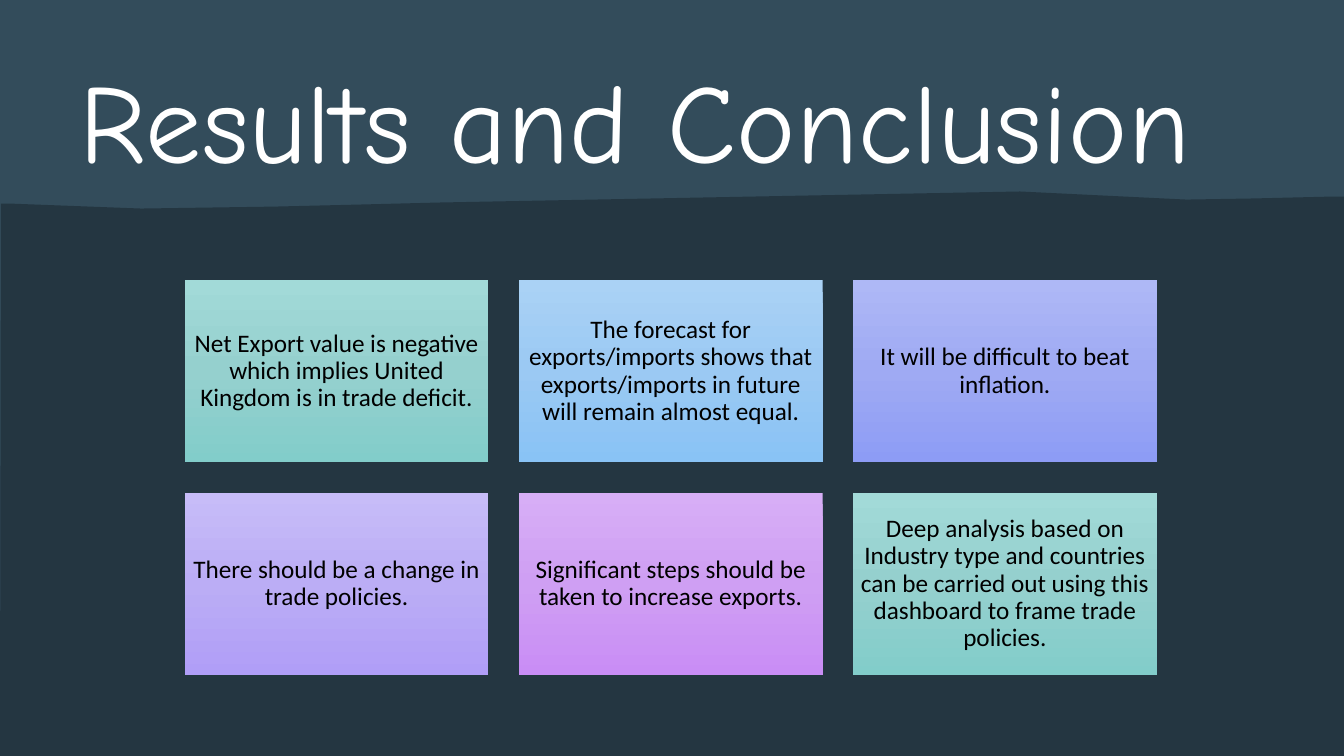
from copy import deepcopy

from pptx import Presentation
from pptx.dml.color import RGBColor
from pptx.enum import shapes, text
from pptx.oxml import ns
from pptx.util import Pt

TITLE = "Results and Conclusion"
TEAL = ("A2DAD8", "95D0CE", "82CDCA")
BLUE = ("AAD2F5", "9BC9F3", "89C3F5")
INDIGO = ("AEB8F6", "9FAAF3", "8D9CF5")
VIOLET = ("C7BCF8", "BBADF5", "B09EF7")
ORCHID = ("D7AEF6", "CF9FF3", "C98DF5")
CARDS = [
    ("Net Export value is negative which implies United Kingdom is in trade deficit.", TEAL),
    ("The forecast for exports/imports shows that exports/imports in future will remain almost equal.", BLUE),
    ("It will be difficult to beat inflation.", INDIGO),
    ("There should be a change in trade policies.", VIOLET),
    ("Significant steps should be taken to increase exports.", ORCHID),
    ("Deep analysis based on Industry type and countries can be carried out using this dashboard to frame trade policies.", TEAL),
]
NAVY = RGBColor(0x24, 0x36, 0x41)
SLATE = RGBColor(0x33, 0x4C, 0x5B)
WHITE = RGBColor(0xFF, 0xFF, 0xFF)
BLACK = RGBColor(0, 0, 0)

WIDTH, HEIGHT = 960, 540
TORN_EDGE = [
    (728.6, 136.8), (847.4, 142.6), (895, 141.8), (952.6, 140.4), (WIDTH, 140.4),
    (WIDTH, HEIGHT), (0, HEIGHT), (0.7, 145.4), (5.8, 145.4), (100.8, 149),
    (195.8, 147.6), (254.9, 146.2), (313.9, 144.7),
]
COLUMNS = 3
CARD_LEFT, CARD_TOP = 131.9, 200.1
CARD_WIDTH, CARD_HEIGHT, GAP = 217, 130.2, 21.7


def write(shape, content, size, font, color, align, anchor, inset, line_spacing, tracking=0):
    frame = shape.text_frame
    frame.word_wrap = True
    frame.vertical_anchor = anchor
    frame.margin_left = frame.margin_right = Pt(inset)
    frame.margin_top = frame.margin_bottom = Pt(inset)
    paragraph = frame.paragraphs[0]
    paragraph.alignment = align
    paragraph.line_spacing = line_spacing
    run = paragraph.add_run()
    run.text = content
    run.font.size = Pt(size)
    run.font.name = font
    run.font.color.rgb = color
    if tracking:
        run.font._element.set("spc", str(round(tracking * 100)))


def make_flat(shape, color):
    shape.shadow.inherit = False
    shape.line.fill.background()
    shape.fill.solid()
    shape.fill.fore_color.rgb = color


def make_gradient(shape, colors):
    shape.shadow.inherit = False
    shape.line.fill.background()
    shape.fill.gradient()
    shape.fill.gradient_angle = 270
    first = shape._element.spPr.find(".//" + ns.qn("a:gs"))
    first.addnext(deepcopy(first))
    for stop, position, color in zip(shape.fill.gradient_stops, (0, 0.5, 1), colors):
        stop.position = position
        stop.color.rgb = RGBColor.from_string(color)


presentation = Presentation()
presentation.slide_width, presentation.slide_height = Pt(WIDTH), Pt(HEIGHT)
slide = presentation.slides.add_slide(presentation.slide_layouts[6])
slide.background.fill.solid()
slide.background.fill.fore_color.rgb = NAVY

backdrop = slide.shapes.add_shape(shapes.MSO_SHAPE.RECTANGLE, 0, 0, Pt(WIDTH), Pt(HEIGHT))
make_flat(backdrop, SLATE)

title = slide.shapes.add_textbox(Pt(56.9), Pt(49), Pt(856), Pt(80))
write(title, TITLE, size=80, font="Comic Neue", color=WHITE, align=text.PP_ALIGN.LEFT,
      anchor=text.MSO_ANCHOR.TOP, inset=0, line_spacing=0.88, tracking=0.4)

edge = [(Pt(x), Pt(y)) for x, y in TORN_EDGE]
builder = slide.shapes.build_freeform(*edge[0])
builder.add_line_segments(edge[1:], close=True)
make_flat(builder.convert_to_shape(), NAVY)

for index, (content, colors) in enumerate(CARDS):
    row, column = divmod(index, COLUMNS)
    left = CARD_LEFT + column * (CARD_WIDTH + GAP)
    top = CARD_TOP + row * (CARD_HEIGHT + GAP)
    card = slide.shapes.add_shape(shapes.MSO_SHAPE.RECTANGLE, Pt(left), Pt(top),
                                  Pt(CARD_WIDTH), Pt(CARD_HEIGHT))
    make_gradient(card, colors)
    write(card, content, size=18, font="Calibri", color=BLACK, align=text.PP_ALIGN.CENTER,
          anchor=text.MSO_ANCHOR.MIDDLE, inset=5.4, line_spacing=0.9)

presentation.save("out.pptx")
